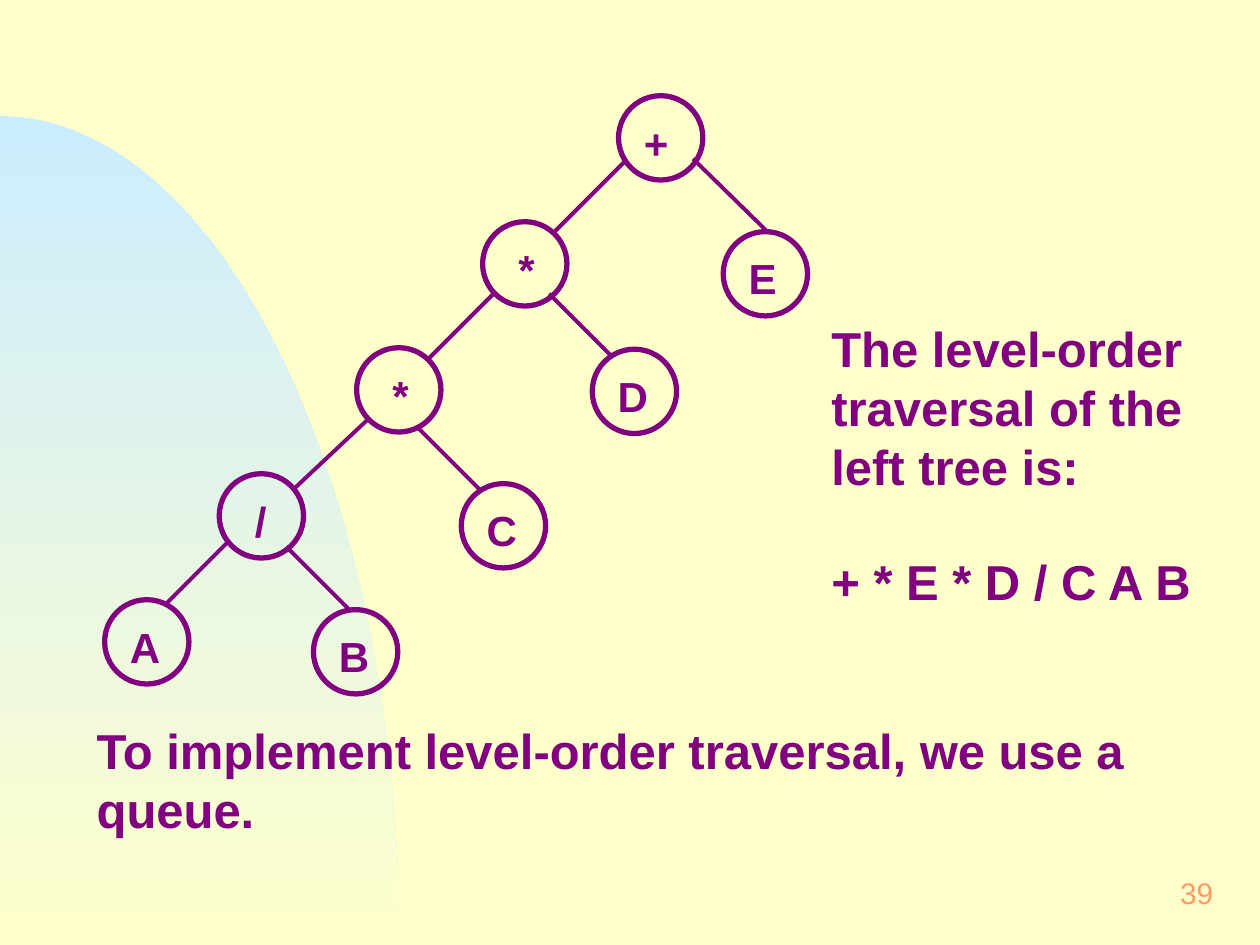
from math import cos, pi, sin

from pptx import Presentation
from pptx.dml.color import RGBColor
from pptx.enum.shapes import MSO_CONNECTOR as Connector, MSO_SHAPE as Shape
from pptx.enum.text import MSO_ANCHOR as Anchor, PP_ALIGN as Align
from pptx.oxml.ns import qn
from pptx.util import Cm, Pt

WIDTH, HEIGHT = 25.4, 19.05
CREAM, SKY, PURPLE, ORANGE = "FFFFCC", "CCECFF", "800080", "FF9966"
DIAMETER = 1.7

# symbol, left and top of the circle
NODES = [
    ("+", 12.47, 1.93), ("*", 9.73, 4.47), ("*", 7.19, 7.01),
    ("/", 4.42, 9.55), ("D", 11.94, 7.04), ("A", 2.11, 12.09),
    ("E", 14.58, 4.67), ("C", 9.3, 9.75), ("B", 6.32, 12.29),
]
# parent end x, y, child end x, y
EDGES = [
    (12.6, 3.25, 11.13, 4.72), (9.93, 5.94, 8.66, 7.21),
    (7.39, 8.48, 5.92, 9.86), (4.6, 10.92, 3.33, 12.19),
    (13.97, 3.2, 15.47, 4.67), (11.07, 5.92, 12.34, 7.19),
    (8.41, 8.61, 9.68, 9.88), (5.77, 11.02, 7.04, 12.29),
]


def color(hex_string):
    return RGBColor.from_string(hex_string)


def add_text(slide, text, left, top, width, height, size=28, fill=PURPLE,
             bold=True, align=Align.LEFT, anchor=Anchor.TOP,
             margins=(0.25, 0.13), gap=0):
    """Add a text box with one paragraph per line, gap points apart."""
    box = slide.shapes.add_textbox(Cm(left), Cm(top), Cm(width), Cm(height))
    frame = box.text_frame
    frame.word_wrap = True
    frame.vertical_anchor = anchor
    frame.margin_left = frame.margin_right = Cm(margins[0])
    frame.margin_top = frame.margin_bottom = Cm(margins[1])
    frame.text = text
    for index, paragraph in enumerate(frame.paragraphs):
        paragraph.alignment = align
        if index:
            paragraph.space_before = Pt(gap)
        font = paragraph.font
        font.name, font.size, font.bold = "Arial", Pt(size), bold
        font.color.rgb = color(fill)


def add_backdrop(slide):
    """Add the gradient quarter ellipse that rises from the lower left."""
    radius_x, radius_y, steps = 8.05, 16.71, 60
    angles = [pi / 2 * step / steps for step in range(steps + 1)]
    arc = [(Cm(radius_x * sin(angle)), Cm(HEIGHT - radius_y * cos(angle)))
           for angle in angles]
    builder = slide.shapes.build_freeform(*arc[0])
    builder.add_line_segments(arc[1:] + [(0, Cm(HEIGHT))], close=True)
    shape = builder.convert_to_shape()
    shape.shadow.inherit = False
    shape.line.fill.background()
    shape.fill.gradient()
    shape.fill.gradient_angle = 270
    for stop, hex_string in zip(shape.fill.gradient_stops, (SKY, CREAM)):
        stop.color.rgb = color(hex_string)


def add_node(slide, symbol, left, top):
    circle = slide.shapes.add_shape(
        Shape.OVAL, Cm(left), Cm(top), Cm(DIAMETER), Cm(DIAMETER))
    circle.shadow.inherit = False
    circle.fill.background()
    circle.line.color.rgb = color(PURPLE)
    circle.line.width = Pt(3)
    indent = 0.42 if symbol in "*/" else 0.21
    add_text(slide, symbol, left + indent, top + 0.28, 1.5, 1.32,
             size=24, margins=(0.3, 0.15))


def add_edge(slide, *ends):
    edge = slide.shapes.add_connector(Connector.STRAIGHT, *map(Cm, ends))
    edge.line.color.rgb = color(PURPLE)
    edge.line.width = Pt(2.25)
    properties = edge._element.spPr
    properties.append(properties.makeelement(qn("a:effectLst"), {}))


def main():
    presentation = Presentation()
    presentation.slide_width, presentation.slide_height = Cm(WIDTH), Cm(HEIGHT)
    slide = presentation.slides.add_slide(presentation.slide_layouts[6])
    slide.background.fill.solid()
    slide.background.fill.fore_color.rgb = color(CREAM)

    add_backdrop(slide)
    add_text(slide, "39", 19.48, 17.35, 5.28, 1.27, size=17, fill=ORANGE,
             bold=False, align=Align.RIGHT, anchor=Anchor.MIDDLE,
             margins=(0.3, 0.15))
    add_text(slide, "The level-order traversal of the left tree is:\n"
             "+ * E * D / C A B", 16.51, 6.3, 8.1, 5.89, gap=32)
    for node in NODES:
        add_node(slide, *node)
    for edge in EDGES:
        add_edge(slide, *edge)
    add_text(slide, "To implement level-order traversal, we use a queue.",
             1.7, 14.4, 22.2, 2.51)
    presentation.save("out.pptx")


if __name__ == "__main__":
    main()
